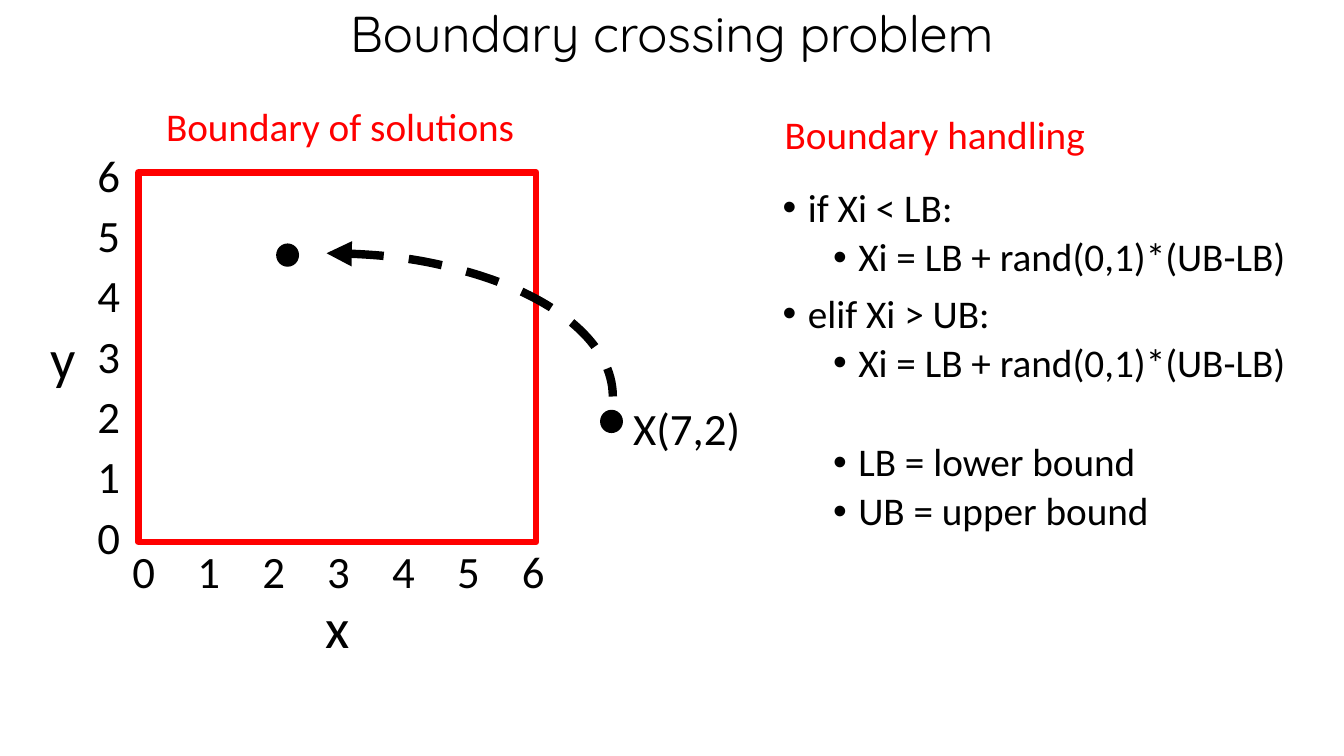
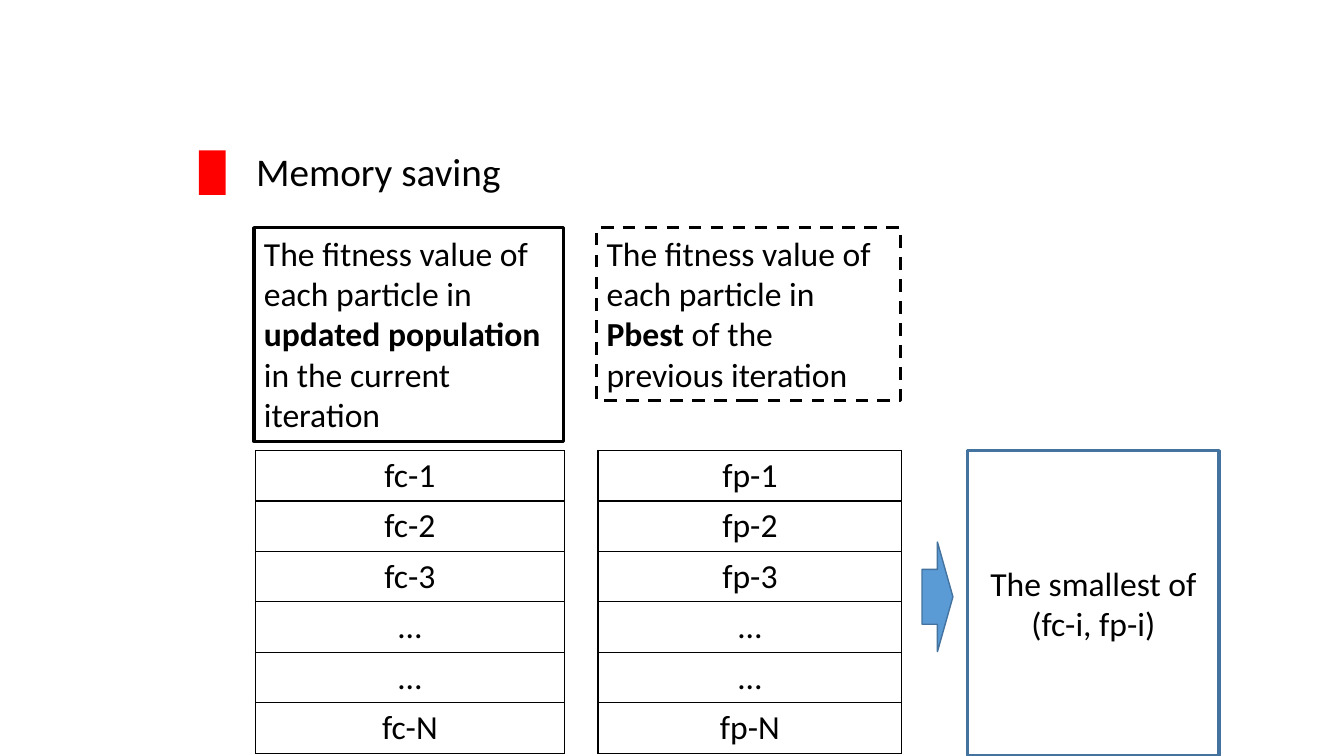
from lxml.etree import SubElement
from pptx import Presentation
from pptx.dml.color import RGBColor
from pptx.enum.dml import MSO_LINE
from pptx.enum.shapes import MSO_SHAPE
from pptx.enum.text import MSO_ANCHOR, PP_ALIGN
from pptx.oxml import parse_xml
from pptx.oxml.ns import nsdecls, qn
from pptx.util import Inches, Pt

COLORS = {
    "ink": "000000",
    "accent": "FF0000",
    "arrow": "5B9BD5",
    "outline": "43739E",
}
BODY_FONT, TITLE_FONT = "Calibri", "Quicksand"
WIDTH, HEIGHT = Inches(13.33), Inches(7.5)
TICK_W, TICK_H = 3.2, 8.5
DOT_W, DOT_H = 1.6, 2.9


def rgb(name):
    return RGBColor.from_string(COLORS[name])


def place(x, y, w, h):
    """Turn percentages of the slide's width and height into lengths."""
    return (int(WIDTH * x / 100), int(HEIGHT * y / 100),
            int(WIDTH * w / 100), int(HEIGHT * h / 100))


def add_run(p, text, size, color="ink", font=BODY_FONT, bold=False):
    r = p.add_run()
    r.text = text
    r.font.size = Pt(size)
    r.font.name = font
    r.font.bold = bold
    r.font.color.rgb = rgb(color)


def add_text(s, box, text, size, color="ink", font=BODY_FONT, wrap=False):
    """Add one centred line of text and return its frame."""
    tf = s.shapes.add_textbox(*place(*box)).text_frame
    tf.word_wrap = wrap
    p = tf.paragraphs[0]
    p.alignment = PP_ALIGN.CENTER
    add_run(p, text, size, color, font)
    return tf


def add_title(s, text):
    tf = add_text(s, (6.9, 0, 86.2, 9.7), text, 36, font=TITLE_FONT, wrap=True)
    tf.vertical_anchor = MSO_ANCHOR.MIDDLE
    tf.paragraphs[0].line_spacing = 0.9


def add_shape(s, kind, box, fill=None, line=None, width=1, dashed=False):
    sp = s.shapes.add_shape(kind, *place(*box))
    sp.shadow.inherit = False
    if fill:
        sp.fill.solid()
        sp.fill.fore_color.rgb = rgb(fill)
    else:
        sp.fill.background()
    if line:
        sp.line.color.rgb = rgb(line)
        sp.line.width = Pt(width)
        if dashed:
            sp.line.dash_style = MSO_LINE.DASH
    else:
        sp.line.fill.background()
    return sp


def add_boxed_text(s, box, runs, line="ink", dashed=False,
                   align=PP_ALIGN.LEFT, anchor=MSO_ANCHOR.TOP):
    """Add an outlined box; runs are (text, bold) pairs."""
    sp = add_shape(s, MSO_SHAPE.RECTANGLE, box, line=line, width=2.25, dashed=dashed)
    tf = sp.text_frame
    tf.word_wrap = True
    tf.vertical_anchor = anchor
    p = tf.paragraphs[0]
    p.alignment = align
    for text, bold in runs:
        add_run(p, text, 24, bold=bold)


def add_bullets(s, box, items):
    """Add bullets; items are (level, space before, text)."""
    tf = s.shapes.add_textbox(*place(*box)).text_frame
    tf.word_wrap = True
    for i, (level, before, text) in enumerate(items):
        p = tf.add_paragraph() if i else tf.paragraphs[0]
        p.level = level
        pPr = p._p.get_or_add_pPr()
        pPr.set("marL", str(Inches(0.25 + 0.5 * level)))
        pPr.set("indent", str(-Inches(0.25)))
        SubElement(pPr, qn("a:buFont")).set("typeface", "Arial")
        SubElement(pPr, qn("a:buChar")).set("char", "•")
        p.line_spacing = 0.9
        p.space_before = Pt(before)
        add_run(p, text, 28)


def add_cell_borders(cell):
    tcPr = cell._tc.get_or_add_tcPr()
    for i, side in enumerate(("lnL", "lnR", "lnT", "lnB")):
        tcPr.insert(i, parse_xml(
            f'<a:{side} {nsdecls("a")} w="{Pt(1)}"><a:solidFill>'
            f'<a:srgbClr val="{COLORS["ink"]}"/></a:solidFill></a:{side}>'))


def add_value_column(s, box, values):
    table = s.shapes.add_table(len(values), 1, *place(*box)).table
    table.first_row = table.horz_banding = False
    for i, value in enumerate(values):
        cell = table.cell(i, 0)
        cell.fill.background()
        add_cell_borders(cell)
        p = cell.text_frame.paragraphs[0]
        p.alignment = PP_ALIGN.CENTER
        add_run(p, value, 24)


def add_axes(s):
    add_shape(s, MSO_SHAPE.RECTANGLE, (10.3, 22.8, 29.6, 48.9), line="accent", width=4.5)
    add_text(s, (23.4, 77.7, 3.4, 10.3), "x", 40)
    add_text(s, (3, 42.1, 3.4, 10.3), "y", 40)
    for i in range(7):
        add_text(s, (9.1 + 4.83 * i, 71.3, TICK_W, TICK_H), str(i), 32)
        add_text(s, (6.5, 66.7 - 7.97 * i, TICK_W, TICK_H), str(i), 32)


def add_crossing(s):
    """Draw the outside point, the inside point and the arc that joins them."""
    for x, y in ((44.7, 54.3), (20.6, 32.3)):
        add_shape(s, MSO_SHAPE.OVAL, (x, y, DOT_W, DOT_H), fill="ink", line="ink")
    add_text(s, (46.3, 52.4, 9.6, 8.5), "X(7,2)", 32)
    arc = add_shape(s, MSO_SHAPE.ARC, (3, 33.5, 42.6, 37.9),
                    line="ink", width=6, dashed=True)
    SubElement(arc.line._get_or_add_ln(), qn("a:headEnd")).set("type", "triangle")


def boundary_slide(s):
    add_title(s, "Boundary crossing problem")
    add_axes(s)
    add_crossing(s)
    add_bullets(s, (57.5, 24.3, 41.8, 73.3), [
        (0, 0, "if Xi < LB:"),
        (1, 5, "Xi = LB + rand(0,1)*(UB-LB)"),
        (0, 10, "elif Xi > UB:"),
        (1, 5, "Xi = LB + rand(0,1)*(UB-LB)"),
        (1, 40.5, "LB = lower bound"),
        (1, 5, "UB = upper bound"),
    ])
    add_text(s, (11.4, 12.9, 27.8, 7.6), "Boundary of solutions", 28, "accent")
    add_text(s, (57.5, 14, 24.1, 7.6), "Boundary handling", 28, "accent")


def memory_slide(s):
    add_shape(s, MSO_SHAPE.RECTANGLE, (14.8, 19.9, 2, 5.9), fill="accent")
    add_text(s, (16.8, 18.8, 22.7, 7.6), "Memory saving", 28, wrap=True)
    intro = ("The fitness value of each particle in ", False)
    columns = [
        ("fc", 18.9, 23, 28.3, False,
         [("updated population ", True), ("in the current iteration", False)]),
        ("fp", 44.4, 22.6, 22.9, True,
         [("Pbest", True), (" of the previous iteration", False)]),
    ]
    for prefix, x, w, h, dashed, runs in columns:
        add_boxed_text(s, (x, 30.1, w, h), [intro, *runs], dashed=dashed)
        values = [f"{prefix}-{i}" for i in (1, 2, 3)] + ["…", "…", f"{prefix}-N"]
        add_value_column(s, (x + 0.1, 59.6, w, 40), values)
    add_shape(s, MSO_SHAPE.RIGHT_ARROW, (68.6, 71.7, 2.3, 14.5),
              fill="arrow", line="outline")
    add_boxed_text(s, (72, 59.6, 18.7, 40.4), [("The smallest of (fc-i, fp-i)", False)],
                   line="outline", align=PP_ALIGN.CENTER, anchor=MSO_ANCHOR.MIDDLE)


def main():
    prs = Presentation()
    prs.slide_width, prs.slide_height = WIDTH, HEIGHT
    for build in (boundary_slide, memory_slide):
        build(prs.slides.add_slide(prs.slide_layouts[6]))
    prs.save("out.pptx")


if __name__ == "__main__":
    main()
